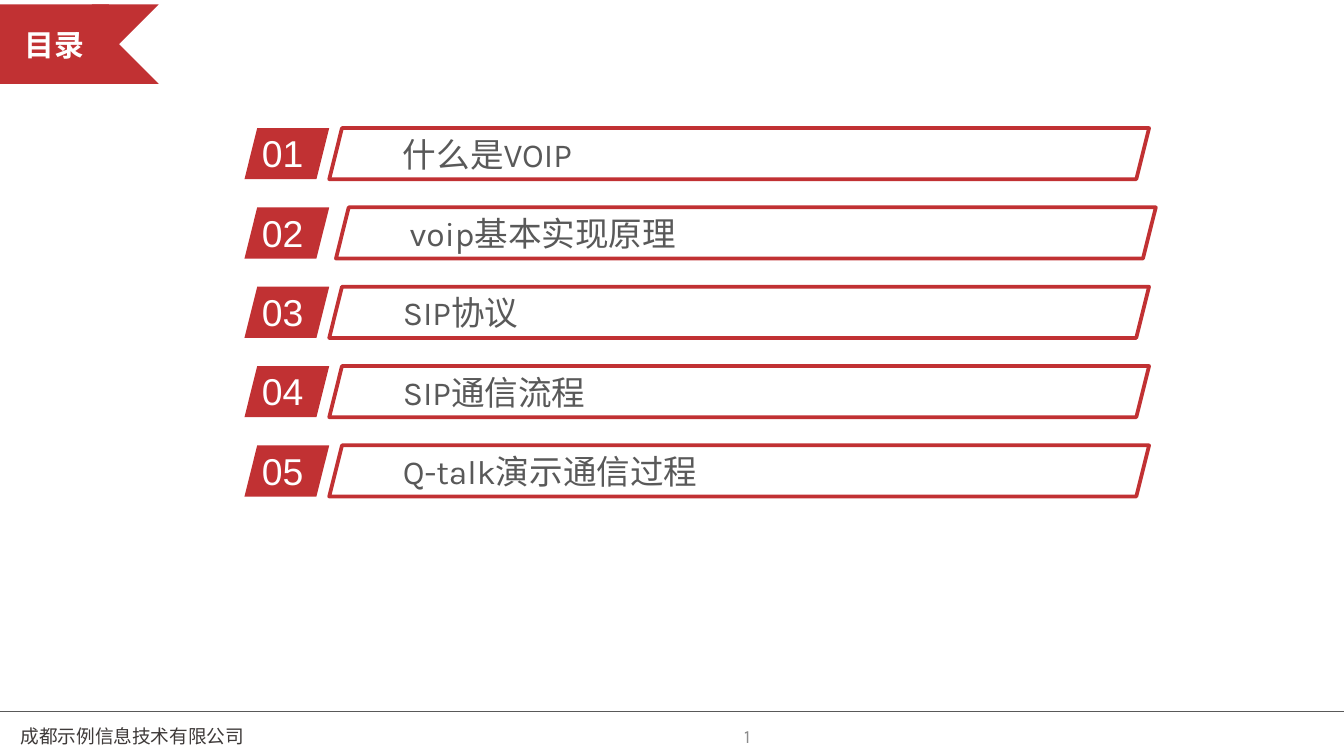
from lxml import etree
from pptx import Presentation
from pptx.dml.color import RGBColor
from pptx.enum.shapes import MSO_CONNECTOR, MSO_SHAPE
from pptx.enum.text import MSO_ANCHOR, PP_ALIGN
from pptx.oxml.ns import qn
from pptx.util import Pt

LEFT, CENTER, RIGHT = PP_ALIGN.LEFT, PP_ALIGN.CENTER, PP_ALIGN.RIGHT
TOP, MIDDLE = MSO_ANCHOR.TOP, MSO_ANCHOR.MIDDLE
CHEVRON, SLANTED = MSO_SHAPE.CHEVRON, MSO_SHAPE.PARALLELOGRAM
TITLE_ONLY = 5

RED, WHITE, GREY = "C13133", "FFFFFF", "595959"
TITLE = "目录"
# Topic and left edge of its bar
TOPICS = [
    ("什么是VOIP", 176.4),
    ("voip基本实现原理", 180),
    ("SIP协议", 176.4),
    ("SIP通信流程", 176.4),
    ("Q-talk演示通信过程", 176.4),
]
# Text, left, width, alignment, colour
FOOTERS = [
    ("成都示例信息技术有限公司", -59.8, 261.4, CENTER, "3E3A39"),
    ("1", 241.2, 167.8, RIGHT, "8C8C8C"),
]
ROW_TOP, ROW_PITCH, ROW_HEIGHT = 68.6, 42.5, 27.4


def rgb(value):
    """Turn a hex string into a colour."""
    return RGBColor.from_string(value)


def write(shape, text, size, font, color, align=LEFT, anchor=MIDDLE,
          insets=(7.2, 3.6), bold=False, before=0):
    """Put one formatted line of text into a shape."""
    frame = shape.text_frame
    frame.word_wrap = True
    frame.vertical_anchor = anchor
    frame.margin_left = frame.margin_right = Pt(insets[0])
    frame.margin_top = frame.margin_bottom = Pt(insets[1])
    para = frame.paragraphs[0]
    para.alignment = align
    para.space_before = Pt(before)
    span = para.add_run()
    span.text = text
    span.font.size = Pt(size)
    span.font.name = font
    span.font.bold = bold
    span.font.color.rgb = rgb(color)


def place(shape, left, top, width, height):
    """Set the position and size of a shape in points."""
    shape.left, shape.top = Pt(left), Pt(top)
    shape.width, shape.height = Pt(width), Pt(height)


def add_panel(page, kind, bounds, fill, line=None, opacity=None):
    """Add a flat shape, with an optional outline and transparency."""
    panel = page.shapes.add_shape(kind, *map(Pt, bounds))
    panel.shadow.inherit = False
    panel.fill.solid()
    panel.fill.fore_color.rgb = rgb(fill)
    if opacity is not None:
        color = panel.element.spPr.find(".//" + qn("a:srgbClr"))
        etree.SubElement(color, qn("a:alpha")).set("val", str(opacity * 1000))
    if line:
        panel.line.color.rgb = rgb(line)
        panel.line.width = Pt(2)
    else:
        panel.line.fill.background()
    return panel


def add_label(page, bounds, *args, **options):
    """Add a text box with one line of text."""
    write(page.shapes.add_textbox(*map(Pt, bounds)), *args, **options)


def add_topic(page, index, topic, bar_left):
    """Add a numbered badge and the bar beside it."""
    top = ROW_TOP + index * ROW_PITCH
    bar = add_panel(page, SLANTED, (bar_left, top, 439.2, ROW_HEIGHT),
                    WHITE, RED, 70)
    write(bar, topic, 18, "Karla", GREY, insets=(0, 3.6))
    add_panel(page, SLANTED, (131, top, 45.4, ROW_HEIGHT), RED)
    add_label(page, (133.2, top - 2.2, 62.6, 25.2), f"{index + 1:02d}",
              20, "Arial", WHITE, anchor=TOP, before=2)


def add_ribbon(page):
    """Form the title ribbon from the title and a notched end behind it."""
    notch = add_panel(page, CHEVRON, (28.1, 2.4, 56.9, 42.5), RED)
    notch.rotation = 180
    title = page.shapes.title
    title.element.addprevious(notch.element)
    place(title, 0, 2.4, 58.3, 42.5)
    title.fill.solid()
    title.fill.fore_color.rgb = rgb(RED)
    write(title, TITLE, 16, "Arial", WHITE, CENTER, insets=(7.2, 11.5), bold=True)


def add_footer(page):
    """Add the rule and the texts at the bottom."""
    rule = page.shapes.add_connector(
        MSO_CONNECTOR.STRAIGHT, Pt(0), Pt(381), Pt(720), Pt(381))
    rule.line.color.rgb = rgb(GREY)
    rule.line.width = Pt(0.5)
    etree.SubElement(rule.element.spPr, qn("a:effectLst"))
    for text, left, width, align, color in FOOTERS:
        add_label(page, (left, 383.8, width, 21.6), text, 10, "Karla", color, align)


deck = Presentation()
deck.slide_width, deck.slide_height = Pt(720), Pt(405)
page = deck.slides.add_slide(deck.slide_layouts[TITLE_ONLY])
add_ribbon(page)
add_footer(page)
for index, (topic, bar_left) in enumerate(TOPICS):
    add_topic(page, index, topic, bar_left)
deck.save("out.pptx")
